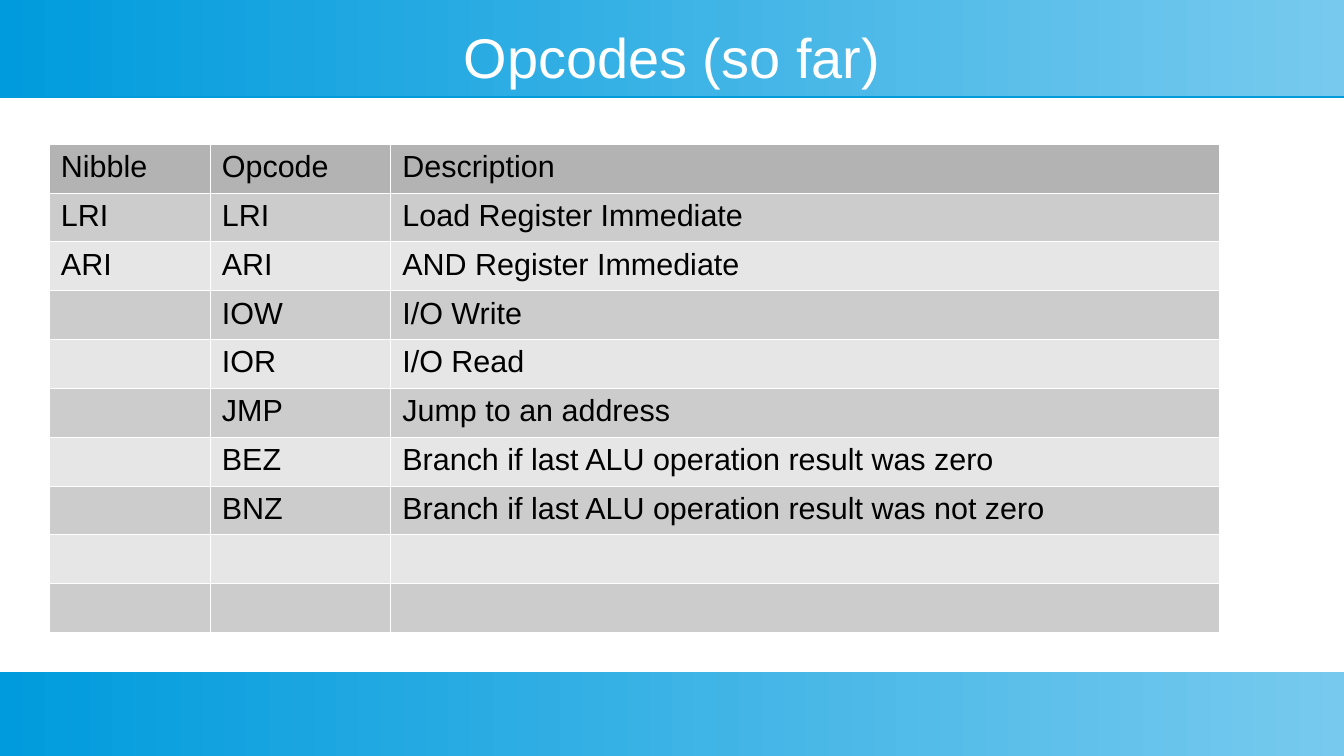
"""Build the opcode table slide."""
from dataclasses import dataclass

import pptx
import pptx.dml.color
import pptx.enum.shapes
import pptx.enum.text
import pptx.oxml
import pptx.oxml.ns
import pptx.util

Inches = pptx.util.Inches
RGBColor = pptx.dml.color.RGBColor

WHITE = RGBColor(0xFF, 0xFF, 0xFF)
BLACK = RGBColor(0x00, 0x00, 0x00)
BLUE = RGBColor(0x00, 0x9B, 0xDD)
LIGHT_BLUE = RGBColor(0x77, 0xCA, 0xEE)
HEADER_GRAY = RGBColor(0xB3, 0xB3, 0xB3)
BAND_GRAYS = (RGBColor(0xCC, 0xCC, 0xCC), RGBColor(0xE6, 0xE6, 0xE6))

SLIDE_WIDTH, SLIDE_HEIGHT = 11.02, 6.2
COLUMN_WIDTHS = (1.32, 1.48, 6.8)
ROW_HEIGHT = 0.4
TITLE_FONT = {"name": "Arial", "size": pptx.util.Pt(33)}
CELL_FONT = {"name": "Arial", "size": pptx.util.Pt(18), "bold": False}


@dataclass
class Bar:
    top: float
    height: float


@dataclass
class Opcode:
    nibble: str = ""
    opcode: str = ""
    description: str = ""

    def texts(self) -> tuple[str, str, str]:
        return self.nibble, self.opcode, self.description


BARS = (Bar(0, 0.79), Bar(5.51, 0.69))
ROWS = (
    Opcode("Nibble", "Opcode", "Description"),
    Opcode("LRI", "LRI", "Load Register Immediate"),
    Opcode("ARI", "ARI", "AND Register Immediate"),
    Opcode("", "IOW", "I/O Write"),
    Opcode("", "IOR", "I/O Read"),
    Opcode("", "JMP", "Jump to an address"),
    Opcode("", "BEZ", "Branch if last ALU operation result was zero"),
    Opcode("", "BNZ", "Branch if last ALU operation result was not zero"),
    Opcode(),
    Opcode(),
)


def set_font(font, values: dict, color: RGBColor) -> None:
    for name, value in values.items():
        setattr(font, name, value)
    font.color.rgb = color


def add_bar(s, bar: Bar) -> None:
    sp = s.shapes.add_shape(
        pptx.enum.shapes.MSO_SHAPE.RECTANGLE,
        Inches(0), Inches(bar.top), Inches(SLIDE_WIDTH), Inches(bar.height),
    )
    sp.line.fill.background()
    sp.fill.gradient()
    sp.fill.gradient_angle = 0
    for stop, color in zip(sp.fill.gradient_stops, (BLUE, LIGHT_BLUE)):
        stop.color.rgb = color
    sp._element.spPr.append(pptx.oxml.parse_xml(
        f'<a:effectLst {pptx.oxml.ns.nsdecls("a")}>'
        '<a:outerShdw blurRad="0" dist="11430" dir="5400000" rotWithShape="0">'
        f'<a:srgbClr val="{BLUE}"/></a:outerShdw></a:effectLst>'
    ))


def format_title(s, text: str) -> None:
    sp = s.shapes.title
    s.shapes._spTree.append(sp._element)
    box = {"left": 0.39, "top": 0.2, "width": 10.24, "height": 0.52}
    for name, value in box.items():
        setattr(sp, name, Inches(value))
    tf = sp.text_frame
    frame = {
        "margin_left": 0, "margin_top": 0, "margin_right": 0, "margin_bottom": 0,
        "word_wrap": True,
        "auto_size": pptx.enum.text.MSO_AUTO_SIZE.SHAPE_TO_FIT_TEXT,
        "vertical_anchor": pptx.enum.text.MSO_ANCHOR.MIDDLE,
    }
    for name, value in frame.items():
        setattr(tf, name, value)
    p = tf.paragraphs[0]
    p.alignment = pptx.enum.text.PP_ALIGN.CENTER
    r = p.add_run()
    r.text = text
    set_font(r.font, TITLE_FONT, WHITE)


def format_cell(cell, text: str, color: RGBColor) -> None:
    tc_pr = cell._tc.get_or_add_tcPr()
    for side in "LRTB":
        tc_pr.append(pptx.oxml.parse_xml(
            f'<a:ln{side} {pptx.oxml.ns.nsdecls("a")} w="762"><a:solidFill>'
            f'<a:srgbClr val="{WHITE}"/></a:solidFill></a:ln{side}>'
        ))
    cell.fill.solid()
    cell.fill.fore_color.rgb = color
    p = cell.text_frame.paragraphs[0]
    if text:
        r = p.add_run()
        r.text = text
        set_font(r.font, CELL_FONT, BLACK)


def add_opcode_table(s, rows: tuple[Opcode, ...]) -> None:
    table = s.shapes.add_table(
        len(rows), len(COLUMN_WIDTHS), Inches(0.4), Inches(1.18),
        Inches(sum(COLUMN_WIDTHS)), Inches(ROW_HEIGHT * len(rows)),
    ).table
    for column, width in zip(table.columns, COLUMN_WIDTHS):
        column.width = Inches(width)
    for i, row in enumerate(rows):
        table.rows[i].height = Inches(ROW_HEIGHT)
        color = BAND_GRAYS[(i - 1) % 2] if i else HEADER_GRAY
        for cell, text in zip(table.rows[i].cells, row.texts()):
            format_cell(cell, text, color)


def main() -> None:
    prs = pptx.Presentation()
    prs.slide_width = Inches(SLIDE_WIDTH)
    prs.slide_height = Inches(SLIDE_HEIGHT)
    s = prs.slides.add_slide(prs.slide_layouts[5])
    for bar in BARS:
        add_bar(s, bar)
    format_title(s, "Opcodes (so far)")
    add_opcode_table(s, ROWS)
    prs.save("out.pptx")


if __name__ == "__main__":
    main()
